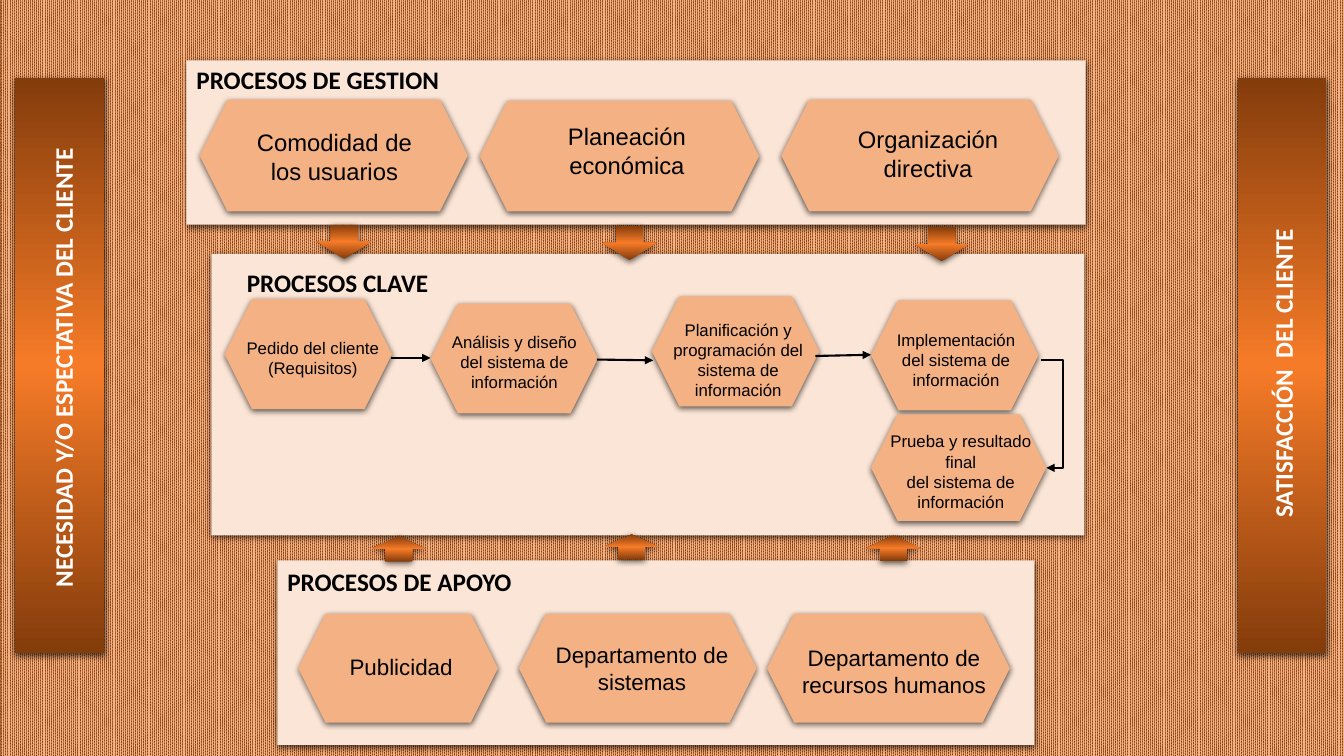
from dataclasses import dataclass

from lxml.etree import SubElement
from pptx import Presentation
from pptx.dml.color import RGBColor
from pptx.enum.dml import MSO_PATTERN
from pptx.enum.shapes import MSO_CONNECTOR as Connector, MSO_SHAPE as Shape
from pptx.enum.text import MSO_AUTO_SIZE as AutoSize, PP_ALIGN as Align
from pptx.oxml import parse_xml
from pptx.oxml.ns import nsdecls, qn
from pptx.util import Cm, Pt


@dataclass(frozen=True)
class Theme:
    """Colours, fonts and type sizes of the process map."""
    dark: str = "843C0B"
    bright: str = "F67B28"
    hexagon: str = "F4B183"
    panel: str = "FBE5D6"
    ink: str = "000000"
    white: str = "FFFFFF"
    heading_font: str = "Calibri"
    body_font: str = "Arial"
    heading: int = 18
    management: int = 17
    support: int = 16
    key: int = 12


THEME = Theme()


def colour(value):
    """Return the RGB colour for a hex string."""
    return RGBColor.from_string(value)


class ProcessMap:
    """Draws styled elements on the current slide."""

    def __init__(self, slide, theme):
        """Keep the slide and theme, and paint the patterned background."""
        self.slide, self.theme = slide, theme
        fill = slide.background.fill
        fill.patterned()
        fill.pattern = MSO_PATTERN.PERCENT_90
        fill.fore_color.rgb = colour(theme.hexagon)
        fill.back_color.rgb = colour(theme.dark)

    def block(self, kind, box, fill=None, rotation=0):
        """Add a shadowed shape; without a fill colour it gets the gradient."""
        shape = self.slide.shapes.add_shape(kind, *map(Cm, box))
        shape.rotation = rotation
        shape.line.fill.background()
        if fill:
            shape.fill.solid()
            shape.fill.fore_color.rgb = colour(fill)
        else:
            self.gradient(shape)
        self.shadow(shape)

    def gradient(self, shape):
        """Fill a shape from dark to bright and back, top to bottom."""
        stops = ((0, self.theme.dark), (50, self.theme.bright), (100, self.theme.dark))
        marks = "".join(f'<a:gs pos="{place * 1000}"><a:srgbClr val="{tone}"/></a:gs>'
                        for place, tone in stops)
        shape.fill.background()
        properties = shape.element.spPr
        properties.replace(properties.find(qn("a:noFill")), parse_xml(
            f'<a:gradFill {nsdecls("a")} rotWithShape="1"><a:gsLst>{marks}</a:gsLst>'
            '<a:lin ang="5400000" scaled="0"/></a:gradFill>'))

    def shadow(self, shape):
        """Give a shape the soft shadow below it."""
        shape.shadow.inherit = False
        effects = shape.element.spPr.find(qn("a:effectLst"))
        outer = SubElement(effects, qn("a:outerShdw"), blurRad="57150", dist="19050",
                           dir="5400000", algn="ctr", rotWithShape="0")
        tone = SubElement(outer, qn("a:srgbClr"), val=self.theme.ink)
        SubElement(tone, qn("a:alpha"), val="63000")

    def text(self, lines, box, size, heading=False, tone=None, align=Align.CENTER, rotation=0):
        """Add a wrapped text box with one paragraph per line."""
        shape = self.slide.shapes.add_textbox(*map(Cm, box))
        shape.rotation = rotation
        frame = shape.text_frame
        frame.word_wrap = True
        frame.auto_size = AutoSize.SHAPE_TO_FIT_TEXT
        frame.text = lines
        font_name = self.theme.heading_font if heading else self.theme.body_font
        font_format = {"name": font_name, "size": Pt(size), "bold": heading}
        for paragraph in frame.paragraphs:
            paragraph.alignment = align
            for name, value in font_format.items():
                setattr(paragraph.font, name, value)
                setattr(paragraph.runs[0].font, name, value)
            paragraph.runs[0].font.color.rgb = colour(tone or self.theme.ink)

    def arrow(self, start, end, bend=None):
        """Connect two points with an arrow, bent at the given x if any."""
        kind = Connector.STRAIGHT if bend is None else Connector.ELBOW
        connector = self.slide.shapes.add_connector(kind, *map(Cm, start + end))
        connector.line.color.rgb = colour(self.theme.ink)
        connector.line.width = Pt(1.5)
        properties = connector.element.spPr
        SubElement(properties.find(qn("a:ln")), qn("a:tailEnd"), type="triangle")
        SubElement(properties, qn("a:effectLst"))
        if bend is not None:
            share = round((bend - start[0]) / (end[0] - start[0]) * 100000)
            guides = properties.find(qn("a:prstGeom")).get_or_add_avLst()
            SubElement(guides, qn("a:gd"), name="adj1", fmla=f"val {share}")


presentation = Presentation()
presentation.slide_width, presentation.slide_height = Cm(33.87), Cm(19.05)
process_map = ProcessMap(presentation.slides.add_slide(presentation.slide_layouts[6]), THEME)

# Panels: heading, heading position, panel box
PANELS = [
    ("PROCESOS CLAVE", (5.97, 6.6), (5.33, 6.4, 22, 7.09)),
    ("PROCESOS DE APOYO", (6.99, 14.15), (6.99, 14.12, 19.08, 4.65)),
    ("PROCESOS DE GESTION", (4.7, 1.5), (4.7, 1.52, 22.66, 4.14)),
]
for heading, position, box in PANELS:
    process_map.block(Shape.RECTANGLE, box, THEME.panel)
    process_map.text(heading, position + (6.65, 1.02), THEME.heading, True, align=Align.LEFT)

# Processes by type size: label, label box, hexagon box
PROCESSES = {
    THEME.management: [
        ("Comodidad de los usuarios", (5.84, 3.1, 5.18, 1.7), (5.03, 2.51, 6.76, 2.82)),
        ("Planeación económica", (13.21, 2.95, 5.18, 1.7), (12.09, 2.54, 7.04, 2.79)),
        ("Organización directiva", (20.8, 3.02, 5.18, 1.7), (19.69, 2.51, 6.99, 2.82)),
    ],
    THEME.support: [
        ("Publicidad", (7.52, 16.33, 5.18, 0.94), (7.52, 15.47, 5.03, 2.74)),
        ("Departamento de sistemas", (13.59, 16.03, 5.18, 1.63), (13.08, 15.47, 5.99, 2.74)),
        ("Departamento de recursos humanos", (19.94, 16.1, 5.18, 1.63),
         (19.33, 15.47, 6.12, 2.74)),
    ],
    THEME.key: [
        ("Pedido del cliente\n(Requisitos)", (5.74, 8.38, 4.29, 1.27), (5.66, 7.54, 4.22, 2.77)),
        ("Análisis y diseño del sistema de información", (10.82, 8.23, 4.29, 1.8),
         (10.85, 7.65, 4.22, 2.77)),
        ("Planificación y programación del sistema de información", (16.46, 7.92, 4.29, 2.31),
         (16.43, 7.47, 4.22, 2.77)),
        ("Implementación\ndel sistema de información", (21.95, 8.18, 4.29, 1.8),
         (21.95, 7.57, 4.22, 2.77)),
        ("Prueba y resultado final\ndel sistema de información", (22.07, 10.74, 4.29, 2.31),
         (21.95, 10.44, 4.42, 2.69)),
    ],
}
for size, processes in PROCESSES.items():
    for label, label_box, hexagon_box in processes:
        process_map.block(Shape.HEXAGON, hexagon_box, THEME.hexagon)
        process_map.text(label, label_box, size)

# Side bars: label, bar left, label centre, label length
SIDE_BARS = [
    ("NECESIDAD Y/O ESPECTATIVA DEL CLIENTE", 0.38, (1.59, 9.27), 12.22),
    ("SATISFACCIÓN  DEL CLIENTE", 31.19, (32.33, 9.41), 9.4),
]
for label, left, (centre_x, centre_y), length in SIDE_BARS:
    process_map.block(Shape.RECTANGLE, (left, 1.96, 2.24, 14.5))
    label_box = (centre_x - length / 2, centre_y - 0.51, length, 1.02)
    process_map.text(label, label_box, THEME.heading, True, THEME.white, rotation=270)

# Block arrows by rotation: height, positions
BLOCK_ARROWS = {
    0: (0.86, [(8, 5.66), (15.19, 5.69), (23.06, 5.72)]),
    180: (0.64, [(9.37, 13.51), (15.24, 13.46), (21.84, 13.49)]),
}
for rotation, (height, positions) in BLOCK_ARROWS.items():
    for position in positions:
        process_map.block(Shape.DOWN_ARROW, position + (1.35, height), rotation=rotation)

STEPS = [
    ((9.86, 9.02), (10.85, 9.02)),
    ((15.04, 9.06), (16.46, 9.08)),
    ((20.55, 8.97), (21.95, 8.94)),
    ((26.24, 9.07), (26.37, 11.79), 26.8),
]
for step in STEPS:
    process_map.arrow(*step)

presentation.save("out.pptx")
